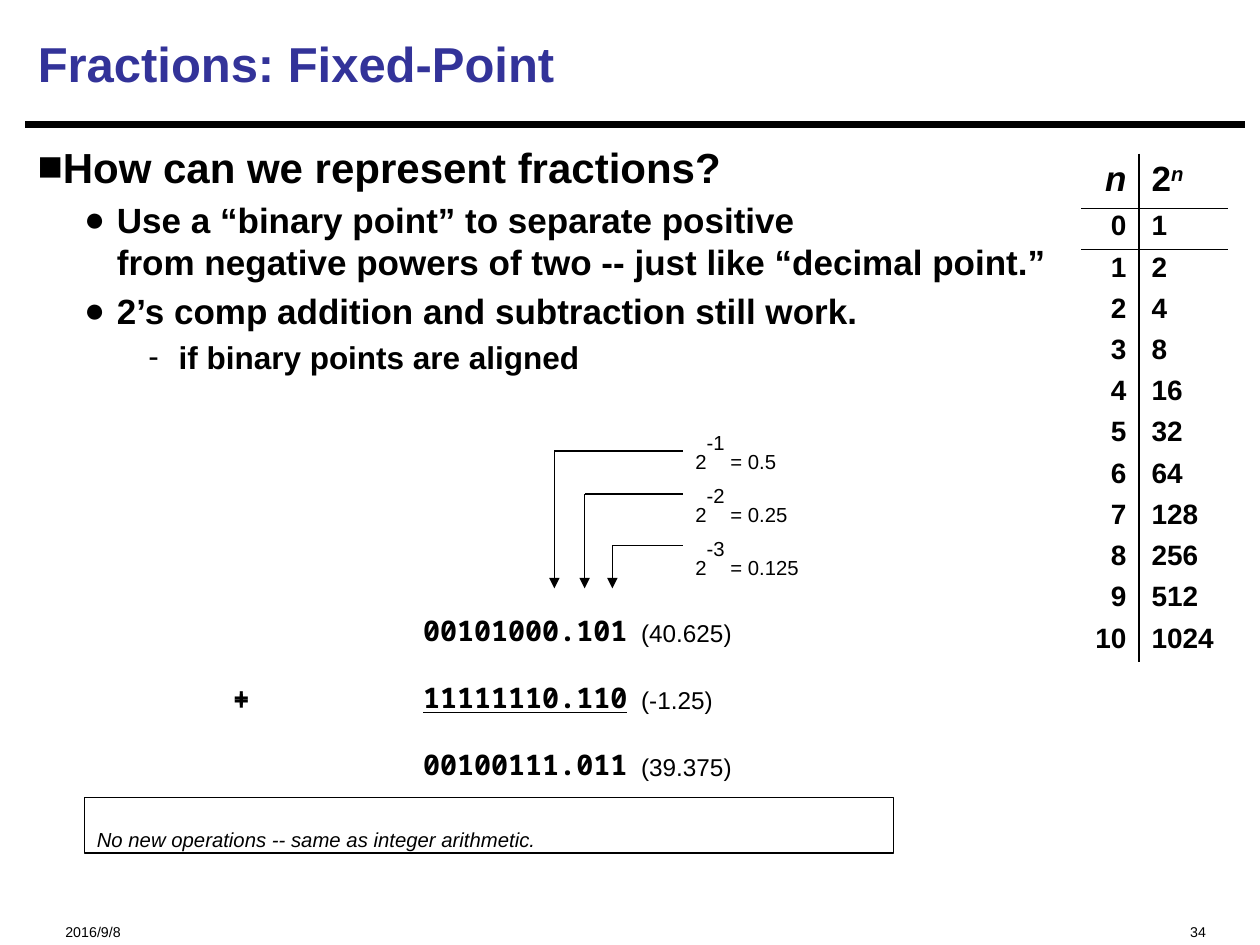
from lxml import etree
from pptx import Presentation
from pptx.dml.color import RGBColor as RGB
from pptx.enum.shapes import MSO_CONNECTOR as CONN, MSO_SHAPE as SHAPE
from pptx.enum.text import MSO_ANCHOR as ANCHOR, PP_ALIGN as ALIGN
from pptx.oxml.ns import qn
from pptx.util import Inches, Pt

COLS, ROWS = 100, 75  # slide grid, one cell is 0.1 inch
CELL = Inches(0.1)
COLORS = {"ink": "000000", "title": "333399"}
ARIAL, MONO = "Arial", "Noto Sans Mono"
SUB, SUPER = -25000, 30000
NO_STYLE = "{2D5ABB26-0587-4C30-8999-92F81FD0307C}"


def u(n):
    """Turn grid cells into a length."""
    return int(n * CELL)


def sub(parent, tag, **attrs):
    """Append an XML child and return it."""
    return etree.SubElement(parent, qn(tag), {k: str(v) for k, v in attrs.items()})


def add_run(p, text, base=0, color="ink", **fmt):
    """Add a run formatted from a dict of font values."""
    r = p.add_run()
    r.text = text
    for name, value in {"name": ARIAL, **fmt}.items():
        setattr(r.font, name, value)
    r.font.color.rgb = RGB.from_string(COLORS[color])
    if base:
        r.font._element.set("baseline", str(base))
    return r


def space_before(p):
    """Give a paragraph 20% space before it."""
    sub(sub(p._p.get_or_add_pPr(), "a:spcBef"), "a:spcPct", val=20000)


def add_text(shapes, box, wrap=True):
    """Add a text box and return its frame."""
    tf = shapes.add_textbox(*map(u, box)).text_frame
    tf.word_wrap = wrap
    return tf


def add_line(shapes, start, end, width=0.75, arrow=False):
    """Draw a straight line, with an arrowhead at its end if asked."""
    line = shapes.add_connector(CONN.STRAIGHT, *map(u, (*start, *end)))
    line.line.width = Pt(width)
    line.line.color.rgb = RGB.from_string(COLORS["ink"])
    if arrow:
        sub(line.line._get_or_add_ln(), "a:tailEnd", type="triangle")
    sub(line._element.spPr, "a:effectLst")


def add_header(s, x, y, w, h):
    """Fill the title placeholder and draw the rule below it."""
    title = s.shapes.title
    title.left, title.top, title.width, title.height = map(u, (x, y, w, h))
    tf = title.text_frame
    tf.vertical_anchor = ANCHOR.MIDDLE
    p = tf.paragraphs[0]
    p.alignment = ALIGN.LEFT
    add_run(p, "Fractions: Fixed-Point", color="title", size=Pt(28), bold=True)
    add_line(s.shapes, (x, y + h + 0.7), (x + w + 0.1, y + h + 0.7), 3.75)


def add_body(s, box):
    """Write the bulleted outline."""
    levels = [(0, 0, "■", 24), (6.3, -2.6, "●", 20), (11.2, -2.4, "-", 18)]
    items = [
        (0, "How can we represent fractions?"),
        (1, "Use a “binary point” to separate positive\v"
            "from negative powers of two -- just like “decimal point.”"),
        (1, "2’s comp addition and subtraction still work."),
        (2, "if binary points are aligned"),
    ]
    tf = add_text(s.shapes, box)
    for i, (level, text) in enumerate(items):
        margin, indent, mark, size = levels[level]
        p = tf.add_paragraph() if i else tf.paragraphs[0]
        p.level = level
        space_before(p)
        pPr = p._p.get_or_add_pPr()
        pPr.set("marL", str(u(margin)))
        pPr.set("indent", str(u(indent)))
        sub(pPr, "a:buFont", typeface=ARIAL)
        sub(pPr, "a:buChar", char=mark)
        for j, part in enumerate(text.split("\v")):
            if j:
                p.add_line_break()
            add_run(p, part, size=Pt(size), bold=True)


def add_weights(s, x, y, w, h):
    """Label the fraction bits and point an arrow at each one."""
    shapes = s.shapes.add_group_shape().shapes
    bits = [(0, 2.5, "0.5", 12.2), (2.4, 5.9, "0.25", 13.7), (4.6, 10, "0.125", 15.3)]
    for i, (dx, dy, value, label_w) in enumerate(bits):
        tf = add_text(shapes, (x + w, y + 4.2 * i, label_w, 4.3), wrap=False)
        p = tf.paragraphs[0]
        space_before(p)
        for text, base in (("2", SUB), (f"-{i + 1}", SUPER), (f" = {value}", SUB)):
            add_run(p, text, base, size=Pt(20))
        corner = (x + dx, y + dy)
        add_line(shapes, (x + w, y + dy), corner)
        add_line(shapes, corner, (x + dx, y + h), arrow=True)


def add_sum(s, x, y, w, h):
    """Write the decimal values and, over them, the binary addition."""
    digits = dict(name=MONO, size=Pt(28), bold=True, base=SUB)
    values = dict(size=Pt(24), base=SUB)
    lines = [("", "00101000.101", "(40.625)"), ("+", "11111110.110", "(-1.25)"),
             ("", "00100111.011", "(39.375)")]
    for dy, show_digits in ((0.2, False), (0, True)):
        tf = add_text(s.shapes, (x, y + dy, w, h))
        for i, (sign, number, value) in enumerate(lines):
            p = tf.add_paragraph() if i else tf.paragraphs[0]
            tabs = sub(p._p.get_or_add_pPr(), "a:tabLst")
            for stop in (5, 20.1, 37.4):
                sub(tabs, "a:tab", pos=u(stop), algn="l")
            add_run(p, f"\t{sign}\t", **digits)
            if show_digits:
                add_run(p, number, underline=bool(sign), **digits)
            else:
                add_run(p, "\t", **digits)
                add_run(p, value, **values)


def add_note(s, box):
    """Draw the framed remark."""
    sp = s.shapes.add_shape(SHAPE.RECTANGLE, *map(u, box))
    sp.shadow.inherit = False
    sp.fill.background()
    sp.line.width = Pt(0.75)
    sp.line.color.rgb = RGB.from_string(COLORS["ink"])
    tf = sp.text_frame
    tf.word_wrap = True
    tf.vertical_anchor = ANCHOR.TOP
    p = tf.paragraphs[0]
    p.alignment = ALIGN.LEFT
    add_run(p, "No new operations -- same as integer arithmetic.", SUB,
            size=Pt(20), italic=True)


def add_borders(cell, sides):
    """Draw black borders on the named sides of a cell."""
    tcPr = cell._tc.get_or_add_tcPr()
    for i, side in enumerate(k for k in "LRTB" if k in sides):
        ln = etree.Element(qn(f"a:ln{side}"), w=str(Pt(1)))
        sub(sub(ln, "a:solidFill"), "a:srgbClr", val=COLORS["ink"])
        tcPr.insert(i, ln)


def add_powers(s, x, y, w, h):
    """Build the table of powers of two."""
    count = 11
    frame = s.shapes.add_table(count + 1, 2, *map(u, (x, y, w, h)))
    table = frame.table
    table.first_row = table.horz_banding = False
    table._tbl.tblPr.find(qn("a:tableStyleId")).text = NO_STYLE
    for col, width in zip(table.columns, (4.6, w - 4.6)):
        col.width = u(width)
    rows = [([("n", True, 0)], [("2", False, 0), ("n", True, SUPER)])]
    rows += [([(str(n), False, 0)], [(str(2 ** n), False, 0)]) for n in range(count)]
    for i, row in enumerate(rows):
        table.rows[i].height = u((h - 4.3) / count if i else 4.3)
        for j, runs in enumerate(row):
            cell = table.cell(i, j)
            cell.fill.background()
            add_borders(cell, "RL"[j] + {0: "B", 1: "T"}.get(i, ""))
            p = cell.text_frame.paragraphs[0]
            p.alignment = ALIGN.LEFT if j else ALIGN.RIGHT
            if i:
                p.line_spacing = 0.85
            space_before(p)
            for text, italic, base in runs:
                add_run(p, text, base, size=Pt(16 if i else 20), bold=True, italic=italic)


def add_footer(s, x, y, w, h):
    """Write the date at the left and the page number at the right."""
    for text, left, width, align in (("2016/9/8", x, 25, ALIGN.LEFT),
                                     ("34", x + w - 30, 30, ALIGN.RIGHT)):
        p = add_text(s.shapes, (left, y, width, h)).paragraphs[0]
        p.alignment = align
        add_run(p, text, SUB, size=Pt(14))


prs = Presentation()
prs.slide_width, prs.slide_height = u(COLS), u(ROWS)
s = prs.slides.add_slide(prs.slide_layouts[5])
add_header(s, 2, 0.8, 96.7, 8.4)
add_footer(s, 4.2, 71.5, 92.5, 2.7)
add_body(s, (2, 10.7, 96.7, 59.9))
add_weights(s, 44, 33.3, 10.2, 13.4)
add_note(s, (6.7, 63.3, 64.2, 4.4))
add_powers(s, 85.8, 12.2, 11.7, 40.3)
add_sum(s, 12.5, 45.6, 78.3, 15)
prs.save("out.pptx")
